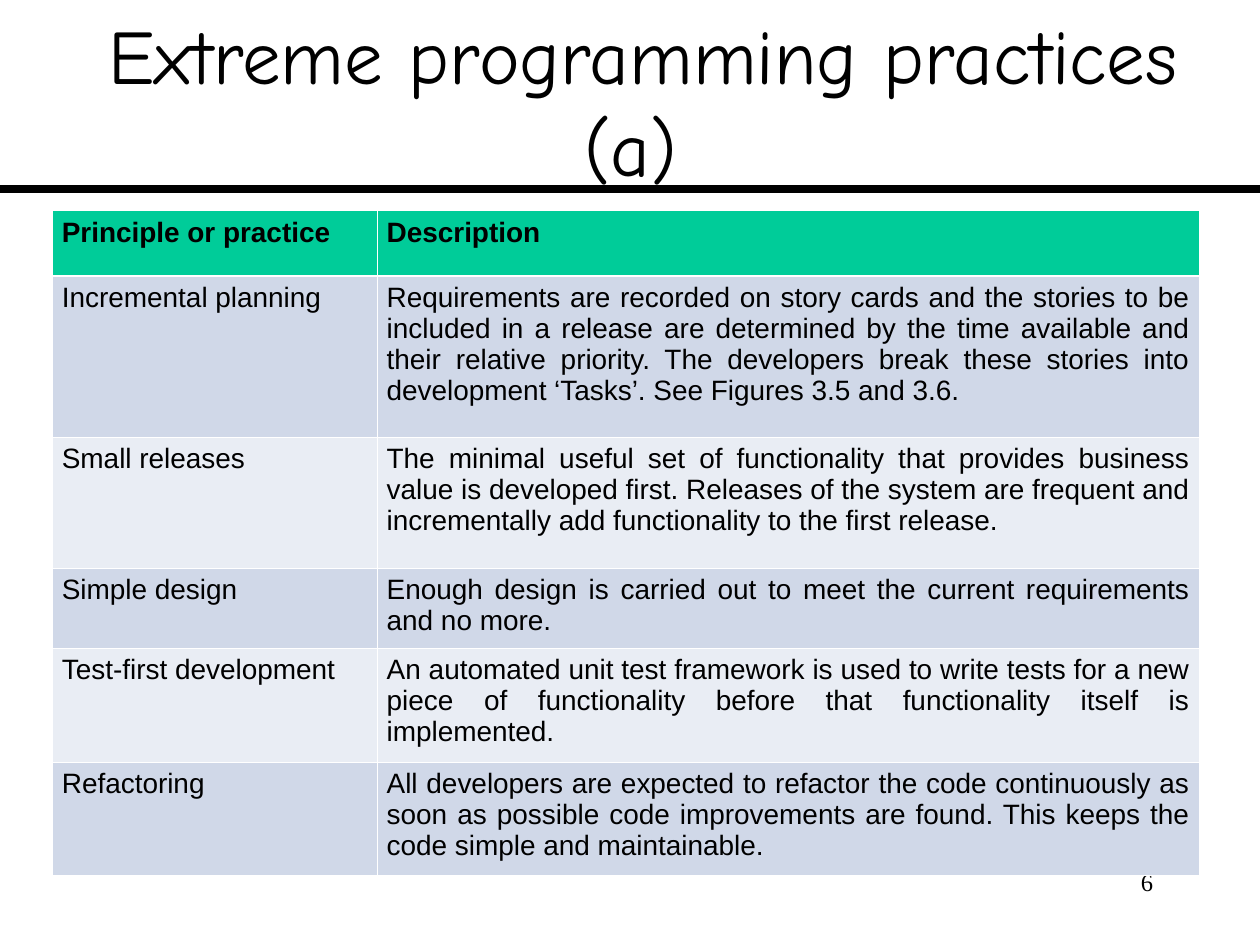
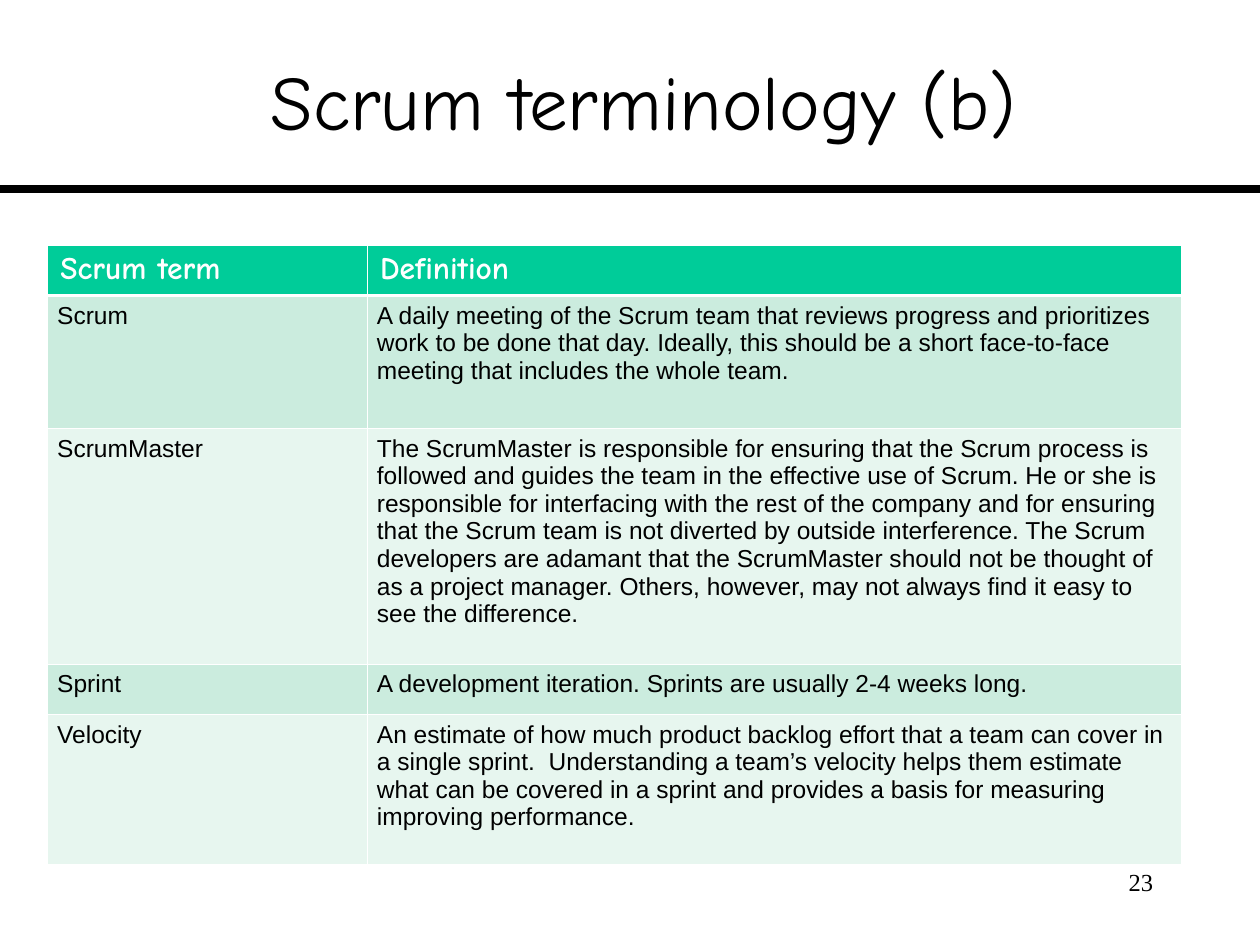
"""Build two agile-methods slides, each with a ruled title and a two-column table."""
from dataclasses import dataclass

from lxml.etree import SubElement
from pptx import Presentation
from pptx.dml.color import RGBColor
from pptx.enum.shapes import MSO_CONNECTOR
from pptx.enum.text import MSO_ANCHOR, PP_ALIGN
from pptx.oxml.ns import qn
from pptx.util import Pt


@dataclass(frozen=True)
class Theme:
    ink: str = "000000"
    paper: str = "FFFFFF"
    header: str = "00CC99"
    blue_bands: tuple = ("D0D8E8", "E9EDF4")
    green_bands: tuple = ("CBECDE", "E7F6EF")
    title_font: str = "Comic Neue"
    body_font: str = "Arial"
    number_font: str = "Times New Roman"
    title_size: float = 44
    number_size: float = 14
    rule: float = 4.5
    border: float = 0.45
    header_border: float = 1.47


T = Theme()
WIDTH, HEIGHT, RULE_Y = 720, 540, 108
TITLE_BOX = (30, 12, 675.5, 90)
NUMBER_BOX = (516, 492, 150, 36)

SLIDES = [
    {
        "title": "Extreme programming practices (a) ",
        "number": "6",
        "number_on_top": False,
        "origin": (30, 120.4),
        "cols": (185.6, 469.6),
        "heights": (37.2, 92.2, 75, 45.3, 65, 64.8),
        "bands": T.blue_bands,
        "align": PP_ALIGN.JUSTIFY,
        "header": {"font": T.body_font, "size": 16, "color": T.ink, "inset": 5.4},
        "size": 16,
        "rows": [
            ("Principle or practice", "Description"),
            ("Incremental planning",
             "Requirements are recorded on story cards and the stories to be included in a "
             "release are determined by the time available and their relative priority. The "
             "developers break these stories into development ‘Tasks’. See Figures 3.5 and 3.6."),
            ("Small releases",
             "The minimal useful set of functionality that provides business value is developed "
             "first. Releases of the system are frequent and incrementally add functionality to "
             "the first release."),
            ("Simple design",
             "Enough design is carried out to meet the current requirements and no more."),
            ("Test-first development",
             "An automated unit test framework is used to write tests for a new piece of "
             "functionality before that functionality itself is implemented."),
            ("Refactoring",
             "All developers are expected to refactor the code continuously as soon as possible "
             "code improvements are found. This keeps the code simple and maintainable."),
        ],
    },
    {
        "title": "Scrum terminology (b)",
        "number": "23",
        "number_on_top": True,
        "origin": (27.3, 140),
        "cols": (182.7, 465.3),
        "heights": (28.8, 76.2, 134.4, 29, 85.6),
        "bands": T.green_bands,
        "align": PP_ALIGN.LEFT,
        "header": {"font": T.title_font, "size": 18, "color": T.paper, "inset": 7.2},
        "size": 14,
        "rows": [
            ("Scrum term", "Definition"),
            ("Scrum",
             "A daily meeting of the Scrum team that reviews progress and prioritizes work to be "
             "done that day. Ideally, this should be a short face-to-face meeting that includes "
             "the whole team."),
            ("ScrumMaster",
             "The ScrumMaster is responsible for ensuring that the Scrum process is followed and "
             "guides the team in the effective use of Scrum. He or she is responsible for "
             "interfacing with the rest of the company and for ensuring that the Scrum team is "
             "not diverted by outside interference. The Scrum developers are adamant that the "
             "ScrumMaster should not be thought of as a project manager. Others, however, may "
             "not always find it easy to see the difference."),
            ("Sprint", "A development iteration. Sprints are usually 2-4 weeks long."),
            ("Velocity",
             "An estimate of how much product backlog effort that a team can cover in a single "
             "sprint.  Understanding a team’s velocity helps them estimate what can be covered "
             "in a sprint and provides a basis for measuring improving performance."),
        ],
    },
]


def write(tf, text, font, size, align, color=T.ink, bold=False):
    p = tf.paragraphs[0]
    p.alignment = align
    r = p.add_run()
    r.text = text
    r.font.name, r.font.size, r.font.bold = font, Pt(size), bold
    r.font.color.rgb = RGBColor.from_string(color)


def add_text(s, box, text, font, size, align, anchor, inset):
    tf = s.shapes.add_textbox(*map(Pt, box)).text_frame
    tf.word_wrap = True
    tf.vertical_anchor = anchor
    tf.margin_left = tf.margin_right = Pt(inset)
    tf.margin_top = tf.margin_bottom = Pt(3.6)
    write(tf, text, font, size, align)


def add_rule(s):
    line = s.shapes.add_connector(MSO_CONNECTOR.STRAIGHT, 0, Pt(RULE_Y), Pt(WIDTH), Pt(RULE_Y))
    line.line.width = Pt(T.rule)
    line.line.color.rgb = RGBColor.from_string(T.ink)
    SubElement(line._element.spPr, qn("a:effectLst"))


def add_number(s, text):
    add_text(s, NUMBER_BOX, text, T.number_font, T.number_size,
             PP_ALIGN.RIGHT, MSO_ANCHOR.TOP, 7.2)


def set_borders(cell, row):
    widths = {"L": T.border, "R": T.border,
              "T": T.header_border if row == 1 else T.border,
              "B": T.header_border if row == 0 else T.border}
    tcPr = cell._tc.get_or_add_tcPr()
    for side, width in widths.items():
        ln = SubElement(tcPr, qn(f"a:ln{side}"), w=str(Pt(width)))
        SubElement(SubElement(ln, qn("a:solidFill")), qn("a:srgbClr"), val=T.paper)


def add_grid(s, d):
    cols, heights = d["cols"], d["heights"]
    box = (*d["origin"], sum(cols), sum(heights))
    table = s.shapes.add_table(len(heights), len(cols), *map(Pt, box)).table
    table.first_row = table.horz_banding = False
    for col, width in zip(table.columns, cols):
        col.width = Pt(width)
    for row, height in zip(table.rows, heights):
        row.height = Pt(height)
    body = {"font": T.body_font, "size": d["size"], "color": T.ink, "inset": 5.4}
    for i, texts in enumerate(d["rows"]):
        style = body if i else d["header"]
        fill = d["bands"][(i - 1) % 2] if i else T.header
        for j, text in enumerate(texts):
            cell = table.cell(i, j)
            set_borders(cell, i)
            cell.fill.solid()
            cell.fill.fore_color.rgb = RGBColor.from_string(fill)
            cell.vertical_anchor = MSO_ANCHOR.TOP
            cell.margin_left = cell.margin_right = Pt(style["inset"])
            cell.margin_top = cell.margin_bottom = Pt(3.6)
            write(cell.text_frame, text, style["font"], style["size"], d["align"],
                  style["color"], bold=i == 0)


prs = Presentation()
prs.slide_width, prs.slide_height = Pt(WIDTH), Pt(HEIGHT)
for d in SLIDES:
    s = prs.slides.add_slide(prs.slide_layouts[6])
    add_rule(s)
    add_text(s, TITLE_BOX, d["title"], T.title_font, T.title_size,
             PP_ALIGN.CENTER, MSO_ANCHOR.MIDDLE, 0)
    if not d["number_on_top"]:
        add_number(s, d["number"])
    add_grid(s, d)
    if d["number_on_top"]:
        add_number(s, d["number"])
prs.save("out.pptx")
